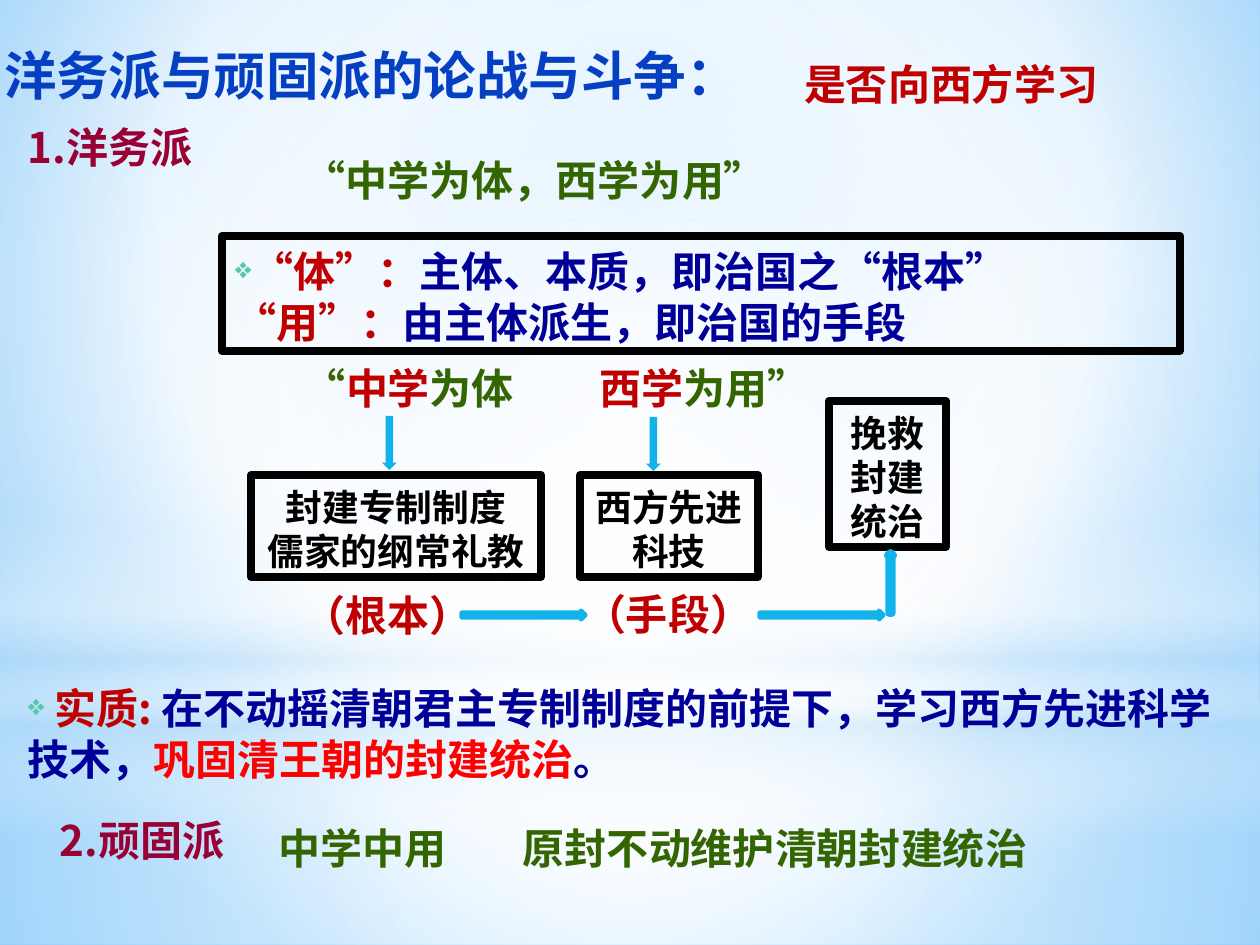
import pptx
import pptx.util
import pptx.dml.color
import pptx.enum.shapes
import pptx.enum.text
import pptx.oxml.ns
import lxml.etree

SCALE = 914400 / 126
DROP = 4
RGB = pptx.dml.color.RGBColor
BLUE = RGB(0x05, 0x40, 0xC3)
NAVY = RGB(0x00, 0x00, 0x99)
RED = RGB(0xC0, 0x00, 0x00)
BRIGHT_RED = RGB(0xFF, 0x00, 0x00)
WINE = RGB(0x99, 0x00, 0x33)
GREEN = RGB(0x33, 0x66, 0x00)
BLACK = RGB(0x00, 0x00, 0x00)
TEAL = RGB(0x56, 0xC7, 0xAA)
CYAN = RGB(0x12, 0xB2, 0xEB)
INDIGO = RGB(0x4E, 0x67, 0xC8)
WHITE = RGB(0xFF, 0xFF, 0xFF)
SKY = RGB(0x9E, 0xD5, 0xFF)
DEEP_SKY = RGB(0x5B, 0xB9, 0xFF)
PALE = RGB(0xB4, 0xDC, 0xFA)
JP = "Noto Sans CJK JP"
SC = "Noto Sans CJK SC"
SHAPE = pptx.enum.shapes.MSO_SHAPE
LEFT = pptx.enum.text.PP_ALIGN.LEFT
CENTER = pptx.enum.text.PP_ALIGN.CENTER


def px(n):
    """Turn px into EMU."""
    return pptx.util.Emu(round(n * SCALE))


def assign(obj, values):
    """Set attributes from a dict."""
    for name, value in values.items():
        setattr(obj, name, value)


def sub(parent, tag, **attrs):
    """Append a DrawingML child element."""
    el = lxml.etree.SubElement(parent, pptx.oxml.ns.qn("a:" + tag))
    for name, value in attrs.items():
        el.set(name, str(value))
    return el


def gradient(fill, stops, focus=None):
    """Fill with (position, colour, opacity) stops, round a focus or downward."""
    fill.gradient()
    grad = fill._xPr.find(pptx.oxml.ns.qn("a:gradFill"))
    for child in list(grad):
        grad.remove(child)
    gs_list = sub(grad, "gsLst")
    for pos, color, opacity in stops:
        gs = sub(gs_list, "gs", pos=pos * 1000)
        sub(sub(gs, "srgbClr", val=color), "alpha", val=opacity * 1000)
    if focus:
        sides = {k: v * 1000 for k, v in zip("ltrb", focus)}
        sub(sub(grad, "path", path="circle"), "fillToRect", **sides)
    else:
        sub(grad, "lin", ang=5400000, scaled=0)


def add_shape(s, kind, box, fill=None, line=None, width=4.5):
    """Add a preset shape with plain fill and line."""
    sp = s.shapes.add_shape(kind, *map(px, box))
    sp.shadow.inherit = False
    if fill is None:
        sp.fill.background()
    else:
        sp.fill.solid()
        sp.fill.fore_color.rgb = fill
    if line is None:
        sp.line.fill.background()
    else:
        sp.line.color.rgb = line
        sp.line.width = pptx.util.Pt(width)
    return sp


def write(sp, paragraphs, size=24, font=JP, align=LEFT, inset=(13, 6), bullet=False, tab=None):
    """Write paragraphs of (text, colour) runs, where None breaks the line."""
    tf = sp.text_frame
    assign(tf, {"word_wrap": True, "auto_size": pptx.enum.text.MSO_AUTO_SIZE.NONE,
                "vertical_anchor": pptx.enum.text.MSO_ANCHOR.TOP,
                "margin_left": px(inset[0]), "margin_right": px(inset[0]),
                "margin_top": px(inset[1] + DROP), "margin_bottom": 0})
    for i, runs in enumerate(paragraphs):
        p = tf.add_paragraph() if i else tf.paragraphs[0]
        assign(p, {"alignment": align, "line_spacing": pptx.util.Pt(size * 1.2)})
        pPr = p._p.get_or_add_pPr()
        if bullet:
            sub(sub(pPr, "buClr"), "srgbClr", val=TEAL)
            sub(pPr, "buSzPct", val=70000)
            sub(pPr, "buChar", char="❖")
        if tab:
            sub(sub(pPr, "tabLst"), "tab", pos=px(tab), algn="l")
        for run in runs:
            if run is None:
                p.add_line_break()
                continue
            r = p.add_run()
            r.text = run[0]
            assign(r.font, {"size": pptx.util.Pt(size), "bold": True, "name": font})
            r.font.color.rgb = run[1]
            sub(r._r.get_or_add_rPr(), "ea", typeface=font)


def add_text(s, box, runs, **format):
    """Add a text box holding one paragraph."""
    write(s.shapes.add_textbox(*map(px, box)), [runs], **format)


def background(s, box):
    """Lay the sky gradients over the box."""
    x, y, w, h = box
    middle = (50, 50, 50, 50)
    gradient(s.background.fill, [(0, SKY, 100), (60, WHITE, 100), (100, DEEP_SKY, 100)], (20, 10, 20, 60))
    layers = [
        (SHAPE.RECTANGLE, 703, h - 703, [(0, WHITE, 91), (37, WHITE, 76), (100, PALE, 79)], middle),
        (SHAPE.RECTANGLE, 0, 703, [(0, WHITE, 89), (48, WHITE, 62), (100, PALE, 79)], middle),
        (SHAPE.RECTANGLE, 519, 315, [(0, WHITE, 0), (29, WHITE, 30), (45, PALE, 40), (55, WHITE, 26),
                                     (65, PALE, 60), (100, WHITE, 0)], None),
        (SHAPE.OVAL, 220, 703, [(0, WHITE, 100), (56, WHITE, 0)], middle),
    ]
    for kind, top, height, stops, focus in layers:
        gradient(add_shape(s, kind, (x, y + top, w, height)).fill, stops, focus)


def heading(s, box):
    """Place the title and the question beside it."""
    x, y, w, h = box
    title = s.shapes.title
    s.shapes._spTree.append(title._element)
    assign(title, dict(zip(("left", "top", "width", "height"), map(px, (x, y, 879, h)))))
    write(title, [[("洋务派与顽固派的论战与斗争：", BLUE)]], size=30, font=SC, inset=(0, 0))
    add_text(s, (x + 787, y + 9, w - 787, 63), [("是否向西方学习", RED)])


def reformers(s, box):
    """Place the first school, its slogan and the framed definitions."""
    x, y, w, h = box
    add_text(s, (x, y, 237, 63), [("1.洋务派", WINE)])
    add_text(s, (x + 276, y + 33, 547, 63), [("“中学为体，西学为用”", GREEN)], font=SC)
    frame = add_shape(s, SHAPE.RECTANGLE, (x + 207, y + 124, w - 207, h - 124), line=BLACK)
    write(frame, [[("“体”：", RED), ("主体、本质，即治国之“根本”", NAVY), None,
                   ("“用”：", RED), ("由主体派生，即治国的手段", NAVY)]], font=SC, bullet=True)


def diagram(s, box):
    """Place the slogan, its two parts and the goal they serve."""
    x, y, w, h = box
    add_text(s, (x + 40, y, 547, 63), [("“", GREEN), ("中学", RED), ("为体\t", GREEN),
                                       ("西学", RED), ("为用”", GREEN)], tab=296)
    for left, top in ((131, 63), (395, 64)):
        add_shape(s, SHAPE.DOWN_ARROW, (x + left, y + top, 15, 54), CYAN)
    frames = [
        ((0, 122, 290, 102), ["封建专制制度", "儒家的纲常礼教"], SC),
        ((329, 122, 178, 102), ["西方先进科技"], JP),
        ((w - 117, 48, 117, 146), ["挽救封建统治"], JP),
    ]
    for (left, top, width, height), lines, font in frames:
        frame = add_shape(s, SHAPE.RECTANGLE, (x + left, y + top, width, height), line=BLACK)
        write(frame, [[(line, BLACK)] for line in lines], size=21, font=font, align=CENTER)
    for left, top, label in ((40, 227, "（根本）"), (320, 225, "（手段）")):
        add_text(s, (x + left, y + top, 197, 63), [(label, RED)])
    for left in (211, 509):
        add_shape(s, SHAPE.RIGHT_ARROW, (x + left, y + 258, 123, 8), CYAN, CYAN, 3)
    add_shape(s, SHAPE.UP_ARROW, (x + 637, y + 200, 5, 60), INDIGO, CYAN)


def conclusion(s, box):
    """Place the essence and the second school."""
    x, y, w, h = box
    add_text(s, (x, y, w, 115), [(" 实质: ", RED), ("在不动摇清朝君主专制制度的前提下，学习西方先进科学技术，", NAVY),
                                 ("巩固清王朝的封建统治", BRIGHT_RED), ("。", NAVY)], font=SC, bullet=True)
    add_text(s, (x + 32, y + h - 71, 237, 63), [("2.顽固派", WINE)])
    add_text(s, (x + 251, y + h - 63, w - 251, 63), [("中学中用\t原封不动维护清朝封建统治", GREEN)], tab=244)


def main():
    """Build the slide and save it."""
    prs = pptx.Presentation()
    assign(prs, {"slide_width": px(1260), "slide_height": px(945)})
    s = prs.slides.add_slide(prs.slide_layouts[5])
    background(s, (0, 0, 1260, 945))
    heading(s, (4, 39, 1247, 64))
    reformers(s, (15, 112, 1165, 239))
    diagram(s, (251, 353, 695, 290))
    conclusion(s, (15, 673, 1237, 203))
    prs.save("out.pptx")


if __name__ == "__main__":
    main()
